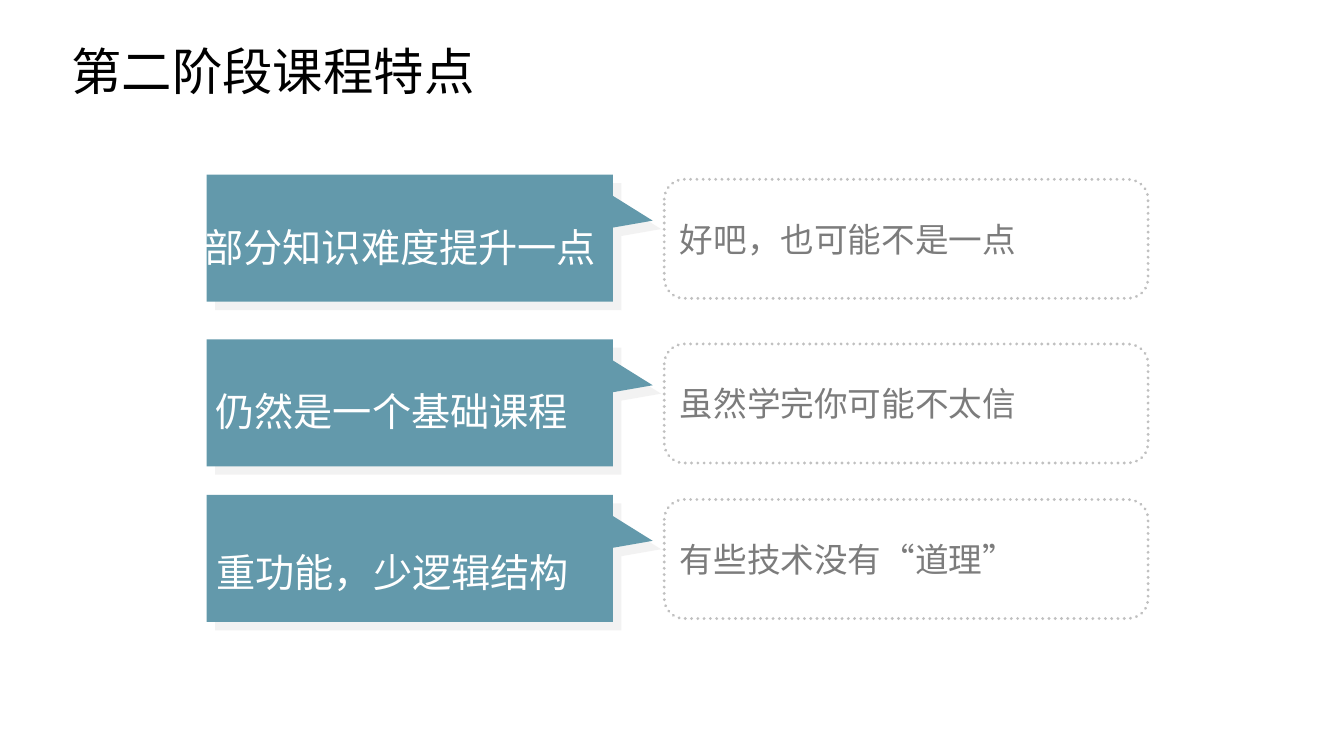
from pptx import Presentation
from pptx.dml.color import RGBColor
from pptx.enum.dml import MSO_LINE
from pptx.enum.shapes import MSO_SHAPE as SHAPE
from pptx.enum.text import MSO_ANCHOR as ANCHOR, PP_ALIGN as ALIGN
from pptx.oxml import parse_xml
from pptx.oxml.ns import nsdecls, qn
from pptx.util import Pt

COLORS = {"teal": "6399AB", "shadow": "E7E6E6", "border": "C0C0C0",
          "gray": "7C7C7C", "white": "FFFFFF", "black": "000000"}

# callout top; label text, left, top, width; remark text
ROWS = [
    (124.8, ("部分知识难度提升一点", 139, 156.2, 298.8), "好吧，也可能不是一点"),
    (242.4, ("仍然是一个基础课程", 146.9, 273.3, 268), "虽然学完你可能不太信"),
    (353.5, ("重功能，少逻辑结构", 147.6, 388.1, 290.2), "有些技术没有“道理”"),
]
CALLOUT_LEFT, CALLOUT_W, CALLOUT_H = 147.6, 290.2, 90.7
REMARK_LEFT, REMARK_W, REMARK_H = 474.5, 345.6, 85
REMARK_DROP = 3.3


def rgb(name):
    """Return the named colour."""
    return RGBColor.from_string(COLORS[name])


def write(shape, text, size=28, font="Courier New", color="white",
          wrap=True, anchor=ANCHOR.TOP, before=0):
    """Put one left-aligned, formatted paragraph in a shape."""
    tf = shape.text_frame
    tf.word_wrap = wrap
    tf.vertical_anchor = anchor
    p = tf.paragraphs[0]
    p.alignment = ALIGN.LEFT
    p.space_before = Pt(before)
    r = p.add_run()
    r.text = text
    r.font.size = Pt(size)
    r.font.name = font
    r.font.color.rgb = rgb(color)


def add_text(s, text, left, top, width, height, **fmt):
    """Add a text box."""
    box = s.shapes.add_textbox(Pt(left), Pt(top), Pt(width), Pt(height))
    write(box, text, **fmt)


def add_callout(s, top):
    """Add a teal callout pointing right, with a hard diagonal shadow."""
    sp = s.shapes.add_shape(SHAPE.RECTANGULAR_CALLOUT, Pt(CALLOUT_LEFT), Pt(top),
                            Pt(CALLOUT_W), Pt(CALLOUT_H))
    sp.adjustments[0], sp.adjustments[1] = 0.598, -0.138
    sp.fill.solid()
    sp.fill.fore_color.rgb = rgb("teal")
    sp.line.fill.background()
    sp.shadow.inherit = False
    sp._element.spPr.find(qn("a:effectLst")).append(parse_xml(
        f'<a:outerShdw {nsdecls("a")} blurRad="0" dist="{Pt(8.5)}" dir="2700000" '
        f'algn="tl" rotWithShape="0"><a:srgbClr val="{COLORS["shadow"]}">'
        '<a:alpha val="50000"/></a:srgbClr></a:outerShdw>'))


def add_remark(s, text, top):
    """Add a dotted rounded box with gray text."""
    sp = s.shapes.add_shape(SHAPE.ROUNDED_RECTANGLE, Pt(REMARK_LEFT), Pt(top),
                            Pt(REMARK_W), Pt(REMARK_H))
    sp.adjustments[0] = 0.167
    sp.fill.background()
    sp.line.color.rgb = rgb("border")
    sp.line.width = Pt(2.24)
    sp.line.dash_style = MSO_LINE.ROUND_DOT
    sp.line._ln.set("cap", "rnd")
    sp.shadow.inherit = False
    write(sp, text, size=24, color="gray", anchor=ANCHOR.MIDDLE, before=12)


def main():
    """Build the slide and save it."""
    prs = Presentation()
    prs.slide_width, prs.slide_height = Pt(960), Pt(540)
    s = prs.slides.add_slide(prs.slide_layouts[6])
    add_text(s, "第二阶段课程特点", 43.9, 25.2, 302.4, 50.4,
             size=36, font="Calibri", color="black", wrap=False)
    for top, (label, left, label_top, width), remark in ROWS:
        add_callout(s, top)
        add_text(s, label, left, label_top, width, 41)
        add_remark(s, remark, top + REMARK_DROP)
    prs.save("out.pptx")


main()
